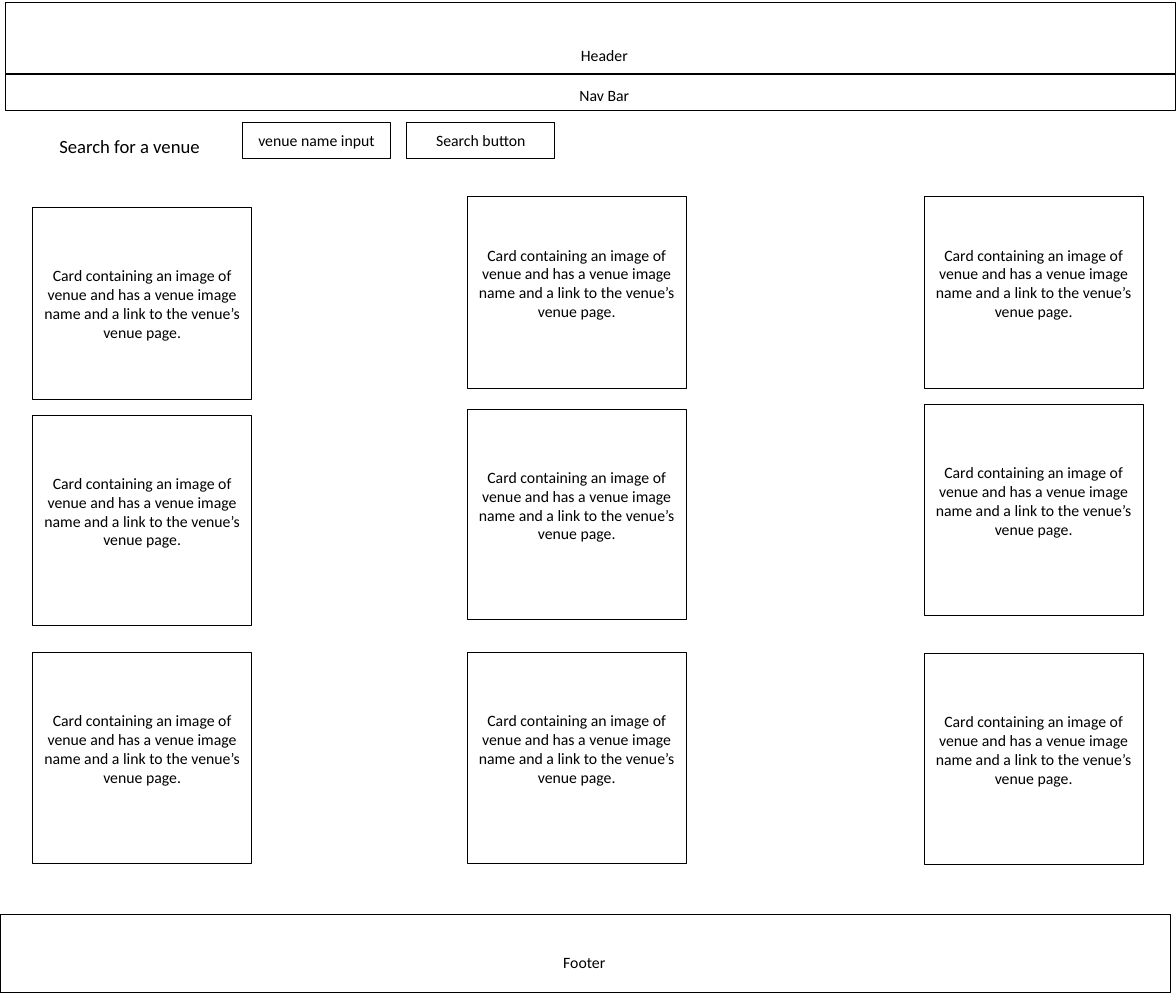
from pptx import Presentation
from pptx.dml.color import RGBColor
from pptx.enum.shapes import MSO_SHAPE
from pptx.enum.text import MSO_ANCHOR, MSO_AUTO_SIZE, PP_ALIGN
from pptx.util import Inches, Pt

BLACK = "000000"
CARD_TEXT = ("Card containing an image of venue and has a venue image name "
             "and a link to the venue’s venue page.")

prs = Presentation()
prs.slide_width, prs.slide_height = Inches(15.75), Inches(40 / 3)
s = prs.slides.add_slide(prs.slide_layouts[6])


def add_box(x, y, w, h):
    sp = s.shapes.add_shape(MSO_SHAPE.RECTANGLE, Inches(x), Inches(y), Inches(w), Inches(h))
    sp.shadow.inherit = False
    sp.fill.background()
    sp.line.color.rgb = RGBColor.from_string(BLACK)
    sp.line.width = Pt(1)
    return sp


def write(sp, text, size=15.2, color=BLACK, anchor=MSO_ANCHOR.MIDDLE,
          side=0.08, top=0.04, bottom=0.04, wrap=True):
    tf = sp.text_frame
    tf.word_wrap = wrap
    tf.vertical_anchor = anchor
    tf.margin_left = tf.margin_right = Inches(side)
    tf.margin_top, tf.margin_bottom = Inches(top), Inches(bottom)
    p = tf.paragraphs[0]
    p.alignment = PP_ALIGN.CENTER
    r = p.add_run()
    r.text = text
    r.font.name = "Calibri"
    r.font.size = Pt(size)
    r.font.color.rgb = RGBColor.from_string(color)


for x, y, h in [(0.07, 0.04, 0.94), (0.07, 1, 0.48), (0, 12.24, 1.05)]:
    add_box(x, y, 15.68, h)

labels = [
    ("Header", 5.61, 0.57, 4.97, 0.36, 15.2, True),
    ("Nav Bar", 5.61, 1.1, 4.97, 0.36, 15.2, True),
    ("Footer", 5.34, 12.71, 4.97, 0.36, 15.2, True),
    ("Search for a venue", 0.68, 1.76, 2.11, 0.4, 18, False),
]
for text, x, y, w, h, size, wrap in labels:
    sp = s.shapes.add_textbox(Inches(x), Inches(y), Inches(w), Inches(h))
    write(sp, text, size=size, anchor=MSO_ANCHOR.TOP, side=0.1, top=0.05, bottom=0.05, wrap=wrap)
    sp.text_frame.auto_size = MSO_AUTO_SIZE.SHAPE_TO_FIT_TEXT

for text, x in [("venue name input", 3.25), ("Search button", 5.45)]:
    write(add_box(x, 1.64, 1.98, 0.48), text)

card_columns = {
    0.44: (2.78, 5.56, 8.74),
    6.26: (2.63, 5.48, 8.74),
    12.38: (2.63, 5.42, 8.75),
}
for x, tops in card_columns.items():
    for row, y in enumerate(tops):
        first_card = x == 0.44 and row == 0
        inset = 0.04 if row == 0 else 0.05
        card = add_box(x, y, 2.93, 2.57 if row == 0 else 2.82)
        write(card, CARD_TEXT, side=2 * inset, top=inset,
              bottom=inset if first_card else inset + 0.25)

prs.save("out.pptx")
